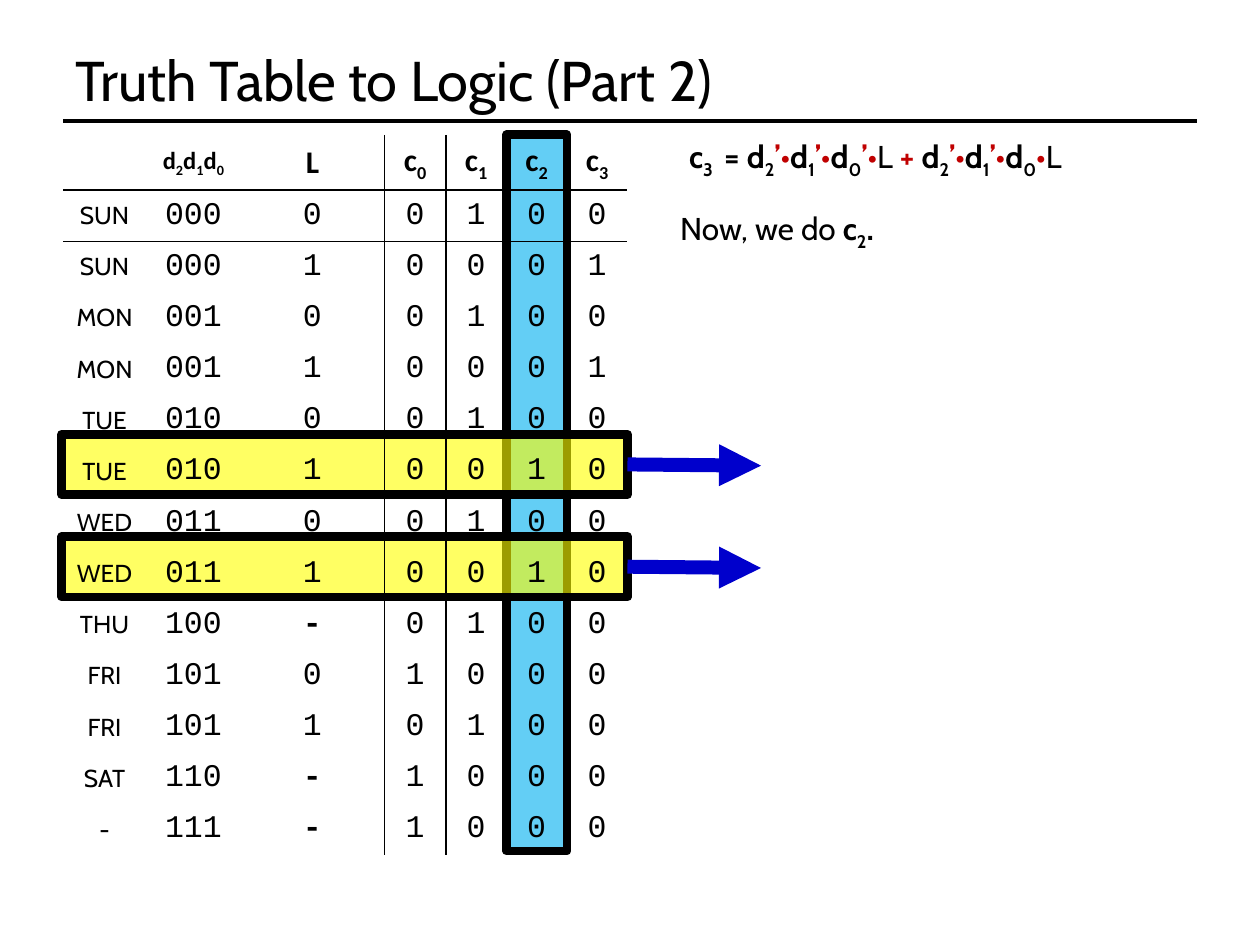
from collections import namedtuple
from itertools import accumulate

from lxml import etree
from pptx import Presentation
from pptx.dml.color import RGBColor
from pptx.enum.shapes import MSO_CONNECTOR, MSO_SHAPE
from pptx.enum.text import MSO_ANCHOR, PP_ALIGN
from pptx.oxml.ns import qn
from pptx.util import Inches, Pt

STRAIGHT = MSO_CONNECTOR.STRAIGHT
RECTANGLE = MSO_SHAPE.RECTANGLE
MIDDLE, TOP = MSO_ANCHOR.MIDDLE, MSO_ANCHOR.TOP
CENTER, LEFT = PP_ALIGN.CENTER, PP_ALIGN.LEFT

BLACK, RED, NAVY = "000000", "C00000", "0000CC"
SKY, YELLOW = "00B0F0", "FFFF00"
SANS, HEAD, MONO = "Cabin", "Calibri", "Courier New"
NO_GRID_STYLE = "{2D5ABB26-0587-4C30-8999-92F81FD0307C}"

GRID_COLUMNS, GRID_ROWS = 100, 75
UNIT = Inches(0.1)
Box = namedtuple("Box", "left top width height")
Span = namedtuple("Span", "text bold sub color", defaults=(False, False, BLACK))

COLUMN_WIDTHS = [6.6, 7.5, 11.4, 4.9, 4.8, 4.8, 4.8]
ROW_HEIGHT = 4.06
TRUTH_ROWS = [
    "SUN 000 0 0 1 0 0",
    "SUN 000 1 0 0 0 1",
    "MON 001 0 0 1 0 0",
    "MON 001 1 0 0 0 1",
    "TUE 010 0 0 1 0 0",
    "TUE 010 1 0 0 1 0",
    "WED 011 0 0 1 0 0",
    "WED 011 1 0 0 1 0",
    "THU 100 - 0 1 0 0",
    "FRI 101 0 1 0 0 0",
    "FRI 101 1 0 1 0 0",
    "SAT 110 - 1 0 0 0",
    "- 111 - 1 0 0 0",
]
RULED_ROWS, RULED_COLUMNS = (0, 1), (2, 3)
CHOSEN_ROWS, CHOSEN_COLUMN = (6, 8), 5


def grid(value):
    return round(value * UNIT)


def paint(color, hex_value):
    color.rgb = RGBColor.from_string(hex_value)


def symbol(letter, index):
    return [Span(letter, True), Span(index, True, True)]


def literal(index, negated=True):
    prime = [Span("’", True, False, RED)] if negated else []
    return symbol("d", index) + prime + [Span("•", False, False, RED)]


def write(frame, spans, font, size, align=LEFT):
    para = frame.paragraphs[0]
    para.alignment = align
    for span in spans:
        run = para.add_run()
        run.text = span.text
        run.font.name, run.font.size, run.font.bold = font, Pt(size), span.bold
        paint(run.font.color, span.color)
        if span.sub:
            run.font._element.set("baseline", "-25000")
    return para


def add_line(page, start, end, color, width, arrow=False):
    line = page.shapes.add_connector(STRAIGHT, *map(grid, start + end))
    paint(line.line.color, color)
    line.line.width = Pt(width)
    if arrow:
        outline = line.line._get_or_add_ln()
        etree.SubElement(outline, qn("a:tailEnd"), type="triangle")
    etree.SubElement(line._element.spPr, qn("a:effectLst"))


def add_title(page, box):
    title = page.shapes.title
    title.left, title.top, title.width, title.height = map(grid, box)
    title.text_frame.vertical_anchor = MIDDLE
    write(title.text_frame, [Span("Truth Table to Logic (Part 2)")], SANS, 32)
    bottom = box.top + box.height
    add_line(page, (box.left, bottom), (box.left + box.width, bottom), BLACK, 2)


def add_highlight(page, box, color):
    shape = page.shapes.add_shape(RECTANGLE, *map(grid, box))
    shape.shadow.inherit = False
    shape.fill.solid()
    paint(shape.fill.fore_color, color)
    tint = shape._element.spPr.find(qn("a:solidFill"))[0]
    etree.SubElement(tint, qn("a:alpha"), val="61000")
    paint(shape.line.color, BLACK)
    shape.line.width = Pt(5)


def add_highlights(page, box):
    column_left = box.left + sum(COLUMN_WIDTHS[:CHOSEN_COLUMN])
    column = Box(column_left, box.top, COLUMN_WIDTHS[CHOSEN_COLUMN], box.height)
    add_highlight(page, column, SKY)
    for row in CHOSEN_ROWS:
        top = box.top + row * ROW_HEIGHT - 0.6
        add_highlight(page, Box(box.left - 0.1, top, box.width + 0.1, 4.8), YELLOW)


def add_arrows(page, box):
    start = box.left + box.width
    for row in CHOSEN_ROWS:
        middle = box.top + row * ROW_HEIGHT + 1.8
        add_line(page, (start, middle), (start + 10.6, middle + 0.1), NAVY, 8, True)


def rule_cell(cell, sides):
    properties = cell._tc.get_or_add_tcPr()
    for position, side in enumerate(sides):
        border = etree.Element(qn(f"a:{side}"), w=str(Pt(1)))
        fill = etree.SubElement(border, qn("a:solidFill"))
        etree.SubElement(fill, qn("a:srgbClr"), val=BLACK)
        properties.insert(position, border)


def header_cells():
    address = [span for index in "210" for span in symbol("d", index)]
    outputs = [(symbol("c", index), HEAD, 18) for index in "0123"]
    return [([], HEAD, 18), (address, HEAD, 14), ([Span("L", True)], HEAD, 18)] + outputs


def truth_cells(line):
    day, *values = line.split()
    numbers = [([Span(value, value == "-")], MONO, 18) for value in values]
    return [([Span(day)], SANS, 14)] + numbers


def add_truth_table(page, box):
    rows = [header_cells()] + [truth_cells(line) for line in TRUTH_ROWS]
    frame = page.shapes.add_table(len(rows), len(COLUMN_WIDTHS), *map(grid, box))
    table = frame.table
    table.first_row = table.horz_banding = False
    table._tbl.tblPr.find(qn("a:tableStyleId")).text = NO_GRID_STYLE
    edges = [0, *accumulate(COLUMN_WIDTHS)]
    for column, left, right in zip(table.columns, edges, edges[1:]):
        column.width = grid(right) - grid(left)
    for row_index, cells in enumerate(rows):
        table.rows[row_index].height = grid(ROW_HEIGHT)
        for column_index, (spans, font, size) in enumerate(cells):
            cell = table.cell(row_index, column_index)
            cell.vertical_anchor = MIDDLE
            cell.fill.background()
            write(cell.text_frame, spans, font, size, CENTER)
            sides = ["lnR"] if column_index in RULED_COLUMNS else []
            sides += ["lnB"] if row_index in RULED_ROWS else []
            rule_cell(cell, sides)


def add_note(page, box, spans):
    note = page.shapes.add_textbox(*map(grid, box))
    note.text_frame.word_wrap = True
    note.text_frame.vertical_anchor = TOP
    write(note.text_frame, spans, SANS, 18).space_before = Pt(3.6)


def add_notes(page, box):
    formula = [Span("c", True), Span("3 ", True, True), Span(" = ", True)]
    formula += literal("2") + literal("1") + literal("0") + [Span("L")]
    formula += [Span(" + ", True, False, RED)]
    formula += literal("2") + literal("1") + literal("0", False) + [Span("L")]
    add_note(page, Box(box.left + 0.7, box.top, box.width - 1.4, 3.6), formula)
    prompt = [Span("Now, we do "), *symbol("c", "2"), Span(".", True)]
    add_note(page, Box(box.left, box.top + 5.7, box.width, 4.2), prompt)


def main():
    deck = Presentation()
    deck.slide_width, deck.slide_height = grid(GRID_COLUMNS), grid(GRID_ROWS)
    page = deck.slides.add_slide(deck.slide_layouts.get_by_name("Title Only"))
    table_height = ROW_HEIGHT * (len(TRUTH_ROWS) + 1)
    table_box = Box(5, 10.7, sum(COLUMN_WIDTHS), table_height)
    add_title(page, Box(5, 3, 90, 6.6))
    add_highlights(page, table_box)
    add_truth_table(page, table_box)
    add_notes(page, Box(53, 10.4, 41.3, 9.9))
    add_arrows(page, table_box)
    deck.save("out.pptx")


if __name__ == "__main__":
    main()
